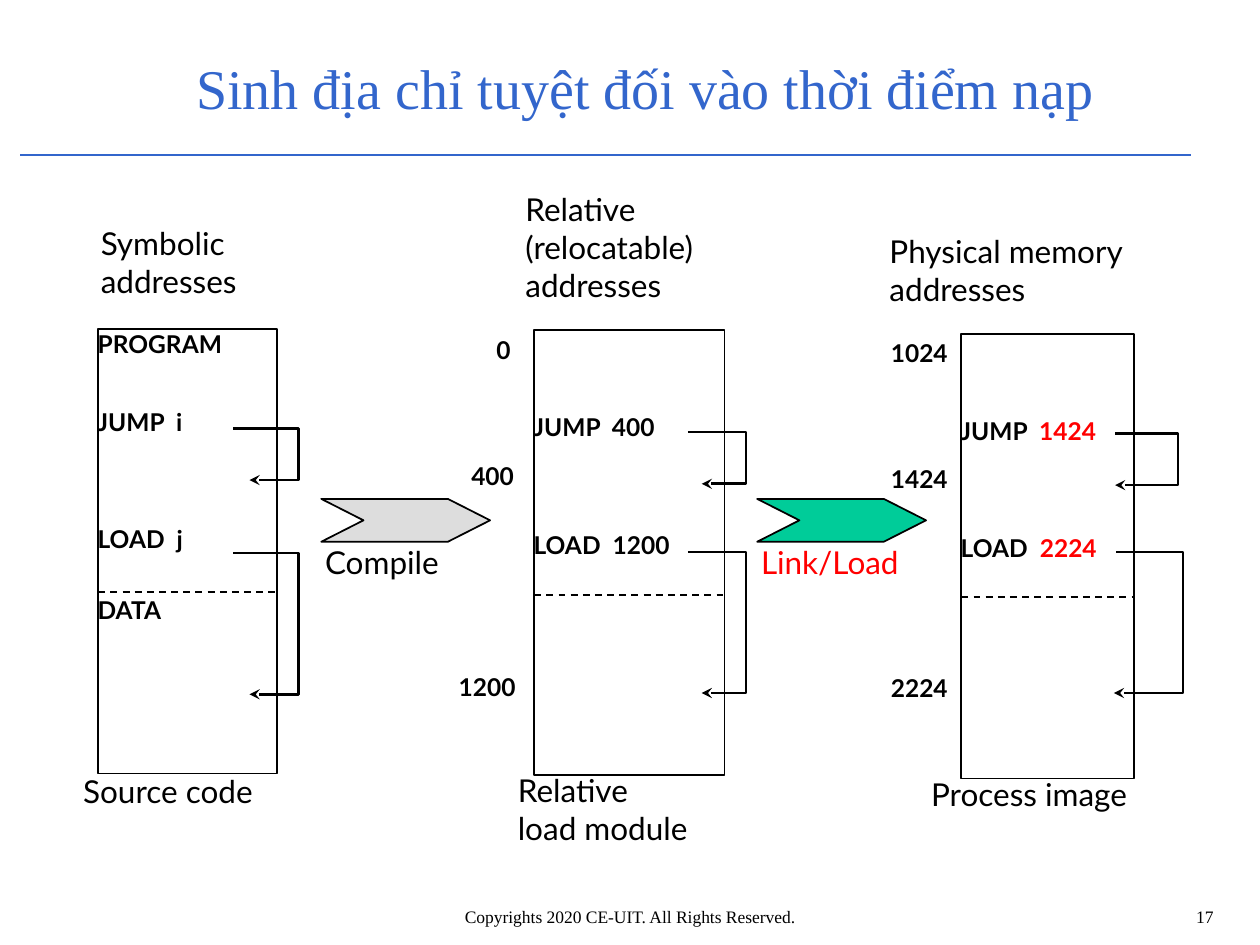
"""Builds the slide on generating absolute addresses at load time."""
from lxml.etree import SubElement
from pptx import Presentation
from pptx.dml.color import RGBColor
from pptx.enum.dml import MSO_LINE_DASH_STYLE as Dash
from pptx.enum.shapes import MSO_CONNECTOR as Connector, MSO_SHAPE as Preset
from pptx.enum.text import MSO_ANCHOR as Anchor, PP_ALIGN as Align
from pptx.oxml.ns import qn
from pptx.util import Inches, Pt

COLOURS = {"ink": "000000", "heading": "3366CC", "resolved": "FF0000",
           "compile": "DDDDDD", "load": "00CC99"}
STYLES = {
    "title": {"name": "Times New Roman", "size": Pt(32)},
    "footer": {"name": "Times New Roman", "size": Pt(10)},
    "caption": {"name": "Lato", "size": Pt(18)},
    "code": {"name": "Lato", "size": Pt(14), "bold": True},
}
COLUMNS, ROWS = 100, 75


class Sketch:
    """Holds the slide, its grid and the drawing style."""

    def __init__(self, deck):
        self.slide = deck.slides.add_slide(deck.slide_layouts[6])
        self.shapes = self.slide.shapes
        self.cell_width = deck.slide_width / COLUMNS
        self.cell_height = deck.slide_height / ROWS

    def grid(self, *cells):
        """Turns alternating columns and rows into lengths."""
        units = (self.cell_width, self.cell_height)
        return [round(cell * units[i % 2]) for i, cell in enumerate(cells)]

    def colour(self, name):
        """Looks up a colour by its role."""
        return RGBColor.from_string(COLOURS[name])

    def outline(self, shape, width, colour="ink"):
        """Sets the line of a shape or connector."""
        shape.line.width = Pt(width)
        shape.line.color.rgb = self.colour(colour)

    def text(self, area, paragraphs, style, inset=0, align=Align.LEFT,
             anchor=Anchor.TOP):
        """Writes paragraphs, each a list of (words, colour) runs."""
        frame = self.shapes.add_textbox(*self.grid(*area)).text_frame
        layout = {"word_wrap": True, "vertical_anchor": anchor,
                  "margin_left": Inches(inset), "margin_right": Inches(inset),
                  "margin_top": Inches(inset / 2),
                  "margin_bottom": Inches(inset / 2)}
        for key, value in layout.items():
            setattr(frame, key, value)
        for i, runs in enumerate(paragraphs):
            paragraph = frame.add_paragraph() if i else frame.paragraphs[0]
            paragraph.alignment = align
            for words, colour in runs:
                run = paragraph.add_run()
                run.text = words
                for key, value in STYLES[style].items():
                    setattr(run.font, key, value)
                run.font.color.rgb = self.colour(colour)

    def label(self, area, words, style, colour="ink", **layout):
        """Writes one-colour text, one paragraph per line."""
        lines = [[(line, colour)] for line in words.split("\n")]
        self.text(area, lines, style, **layout)

    def block(self, area, preset=Preset.RECTANGLE, fill=None):
        """Draws an outlined preset shape."""
        shape = self.shapes.add_shape(preset, *self.grid(*area))
        shape.shadow.inherit = False
        if fill:
            shape.fill.solid()
            shape.fill.fore_color.rgb = self.colour(fill)
        else:
            shape.fill.background()
        self.outline(shape, 1)
        return shape

    def rule(self, start, end, width, colour="ink", dash=None):
        """Draws a straight line."""
        line = self.shapes.add_connector(
            Connector.STRAIGHT, *self.grid(*start, *end))
        SubElement(line._element.spPr, qn("a:effectLst"))
        self.outline(line, width, colour)
        if dash:
            line.line.dash_style = dash

    def reference(self, start, elbow, tip, rows):
        """Draws a bracket arrow from an instruction to its target."""
        top, bottom = rows
        points = [tuple(self.grid(*point)) for point in (
            (start, top), (elbow, top), (elbow, bottom), (tip, bottom))]
        builder = self.shapes.build_freeform(*points[0], scale=1.0)
        builder.add_line_segments(points[1:], close=False)
        bracket = builder.convert_to_shape()
        bracket.shadow.inherit = False
        bracket.fill.background()
        self.outline(bracket, 1.5)
        SubElement(bracket.line._get_or_add_ln(), qn("a:tailEnd"),
                   type="stealth")

    def stage(self, box, divider, heading, footing, instructions,
              references, marks, operand_colour="ink"):
        """Draws one address space with its labels and references."""
        left, top, width, height = box
        self.block(box)
        self.rule((left, divider), (left + width, divider), 1, dash=Dash.DASH)
        for area, words in (heading, footing):
            self.label(area, words, "caption")
        for row, opcode, operand in instructions:
            runs = [(opcode, "ink")]
            if operand:
                runs.append((operand, operand_colour))
            self.text((left - 0.05, row, 13, 3.3), [runs], "code")
        for bracket in references:
            self.reference(*bracket)
        for column, row, address in marks:
            self.label((column, row, 5.5, 3.3), address, "code")

    def step(self, left, name, fill, colour):
        """Draws a chevron and the name of its step."""
        chevron = self.block((left, 39.6, 13.4, 3.4), Preset.CHEVRON, fill)
        chevron.adjustments[0] = 0.986
        self.label((left + 0.3, 43.1, 12, 4), name, "caption", colour)


STAGES = [
    {"box": (7.8, 26.1, 14.2, 35.3), "divider": 47,
     "heading": ((8, 17.8, 12.7, 7.1), "Symbolic\naddresses"),
     "footing": ((6.6, 61.3, 15.2, 4.1), "Source code"),
     "instructions": [(26.1, "PROGRAM", ""), (32.3, "JUMP  ", "i"),
                      (41.6, "LOAD  ", "j"), (47.2, "DATA", "")],
     "references": [(18.5, 23.7, 19.8, (34, 38.1)),
                    (18.5, 23.7, 19.8, (43.9, 55.1))],
     "marks": []},
    {"box": (42.4, 26.2, 15.1, 35.3), "divider": 47.2,
     "heading": ((41.7, 15.1, 15.7, 10.1),
                 "Relative\n(relocatable)\naddresses"),
     "footing": ((41.1, 61.2, 17.1, 7.1), "Relative\nload module"),
     "instructions": [(32.7, "JUMP  ", "400"), (42.1, "LOAD  ", "1200")],
     "references": [(54.6, 59.2, 55.7, (34.3, 38.4)),
                    (54.6, 59.2, 55.7, (43.8, 55))],
     "marks": [(39.4, 26.6, "0"), (37.4, 36.6, "400"), (36.4, 53.3, "1200")]},
    {"box": (76.3, 26.5, 13.7, 35.3), "divider": 47.4,
     "heading": ((70.6, 18.4, 25.3, 7.1), "Physical memory addresses"),
     "footing": ((73.9, 61.5, 18.4, 4.1), "Process image"),
     "instructions": [(33, "JUMP  ", "1424"), (42.3, "LOAD  ", "2224")],
     "references": [(88.5, 93.5, 88.5, (34.4, 38.5)),
                    (88.6, 93.9, 88.4, (43.8, 55))],
     "marks": [(70.7, 26.8, "1024"), (70.7, 36.8, "1424"),
               (70.7, 53.4, "2224")],
     "operand_colour": "resolved"},
]


def main():
    """Composes the slide and saves it."""
    deck = Presentation()
    deck.slide_width, deck.slide_height = Inches(10), Inches(7.5)
    sketch = Sketch(deck)
    sketch.rule((1.6, 12.3), (94.5, 12.3), 0.75, "heading")
    sketch.label((14.6, 3.1, 80.4, 7.6),
                 "Sinh địa chỉ tuyệt đối vào thời điểm nạp", "title",
                 "heading", inset=0.1, anchor=Anchor.MIDDLE)
    for stage in STAGES:
        sketch.stage(**stage)
    sketch.step(25.5, "Compile", "compile", "ink")
    sketch.step(60.1, "Link/Load", "load", "resolved")
    sketch.label((19.3, 71.4, 61.4, 3.2),
                 "Copyrights 2020 CE-UIT. All Rights Reserved.", "footer",
                 inset=0.1, align=Align.CENTER)
    sketch.label((78.1, 71.4, 19.2, 3.2), "17", "footer", inset=0.1,
                 align=Align.RIGHT)
    deck.save("out.pptx")


if __name__ == "__main__":
    main()
